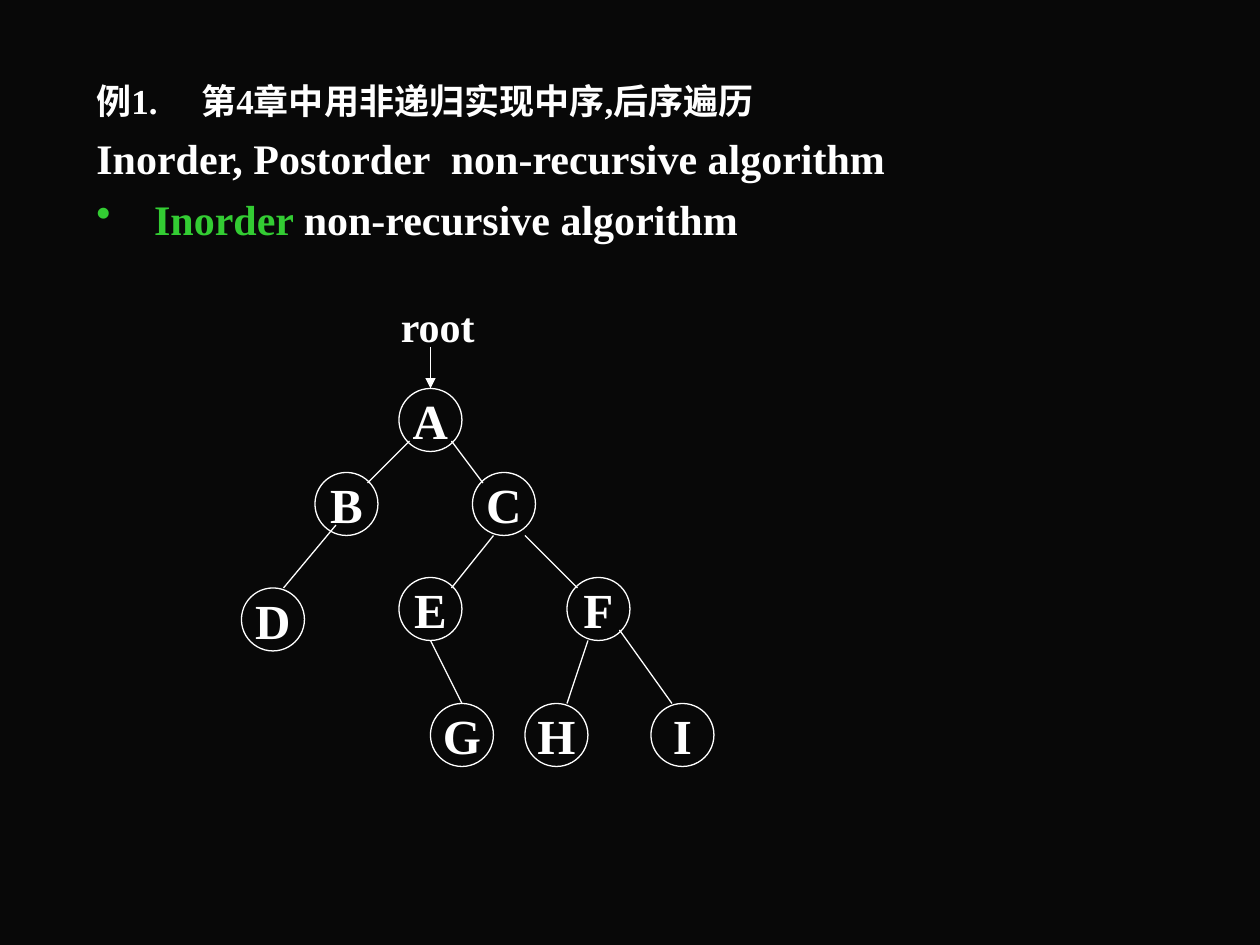
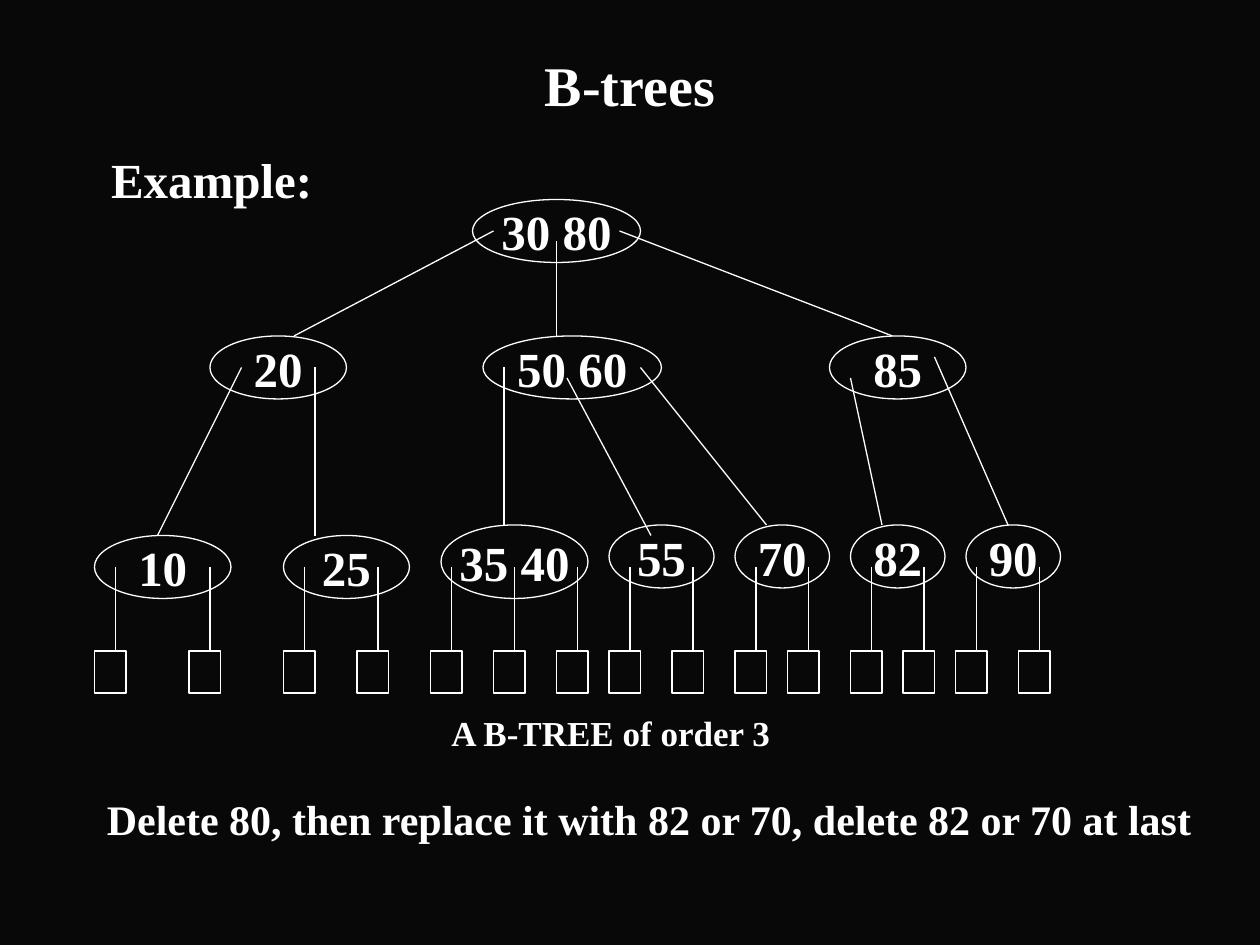
"""Builds two slides on binary tree traversal and B-trees."""
from pptx import Presentation
from pptx import util as u
from pptx.dml.color import RGBColor
from pptx.enum import shapes, text
from pptx.oxml.ns import qn
from lxml import etree

EMU_PER_PX = 7620
BLACK = RGBColor(0x08, 0x08, 0x08)
WHITE = RGBColor(0xFF, 0xFF, 0xFF)
GREEN = RGBColor(0x33, 0xCC, 0x33)
NODE = 60


def px(n):
    return u.Emu(n * EMU_PER_PX)


class Deck:
    """Holds the shared style and the current slide."""

    face = "Times New Roman"
    ink = WHITE
    stroke = u.Pt(0.75)

    def __init__(self, width, height):
        self.prs = Presentation()
        self.prs.slide_width, self.prs.slide_height = px(width), px(height)

    def slide(self):
        self.s = self.prs.slides.add_slide(self.prs.slide_layouts[6])
        fill = self.s.background.fill
        fill.solid()
        fill.fore_color.rgb = BLACK

    def font(self, p, size):
        f = p.font
        f.name, f.size, f.bold = self.face, u.Pt(size), True
        f.color.rgb = self.ink

    def text(self, x, y, w, h, string, size, wrap=True, title=False):
        tf = self.s.shapes.add_textbox(px(x), px(y), px(w), px(h)).text_frame
        tf.word_wrap = wrap
        p = tf.paragraphs[0]
        p.text = string
        if title:
            tf.vertical_anchor = text.MSO_ANCHOR.MIDDLE
            p.alignment = text.PP_ALIGN.CENTER
        self.font(p, size)
        return tf

    def line_of(self, tf, size, before):
        p = tf.add_paragraph()
        p.space_before = u.Pt(before)
        self.font(p, size)
        return p

    def tab(self, p, x):
        tabs = etree.Element(qn("a:tabLst"))
        etree.SubElement(tabs, qn("a:tab"), pos=str(px(x)), algn="l")
        p.font._element.addprevious(tabs)

    def bullet(self, p, indent):
        pPr = p._p.get_or_add_pPr()
        pPr.set("marL", str(px(indent)))
        pPr.set("indent", str(px(-indent)))
        mark = etree.Element(qn("a:buChar"), char="•")
        p.font._element.addprevious(mark)

    def outline(self, kind, x, y, w, h):
        sp = self.s.shapes.add_shape(kind, px(x), px(y), px(w), px(h))
        sp.shadow.inherit = False
        sp.fill.background()
        sp.line.color.rgb = self.ink
        sp.line.width = self.stroke
        return sp

    def node(self, label, x, y, w=NODE, h=NODE):
        sp = self.outline(shapes.MSO_SHAPE.OVAL, x, y, w, h)
        tf = sp.text_frame
        tf.word_wrap = False
        tf.vertical_anchor = text.MSO_ANCHOR.MIDDLE
        p = tf.paragraphs[0]
        p.text = label
        p.alignment = text.PP_ALIGN.CENTER
        self.font(p, 28)

    def leaf(self, x, y):
        self.outline(shapes.MSO_SHAPE.RECTANGLE, x, y, 30, 40)
        self.edge(x + 20, y - 80, x + 20, y)

    def edge(self, x1, y1, x2, y2, arrow=False):
        cx = self.s.shapes.add_connector(
            shapes.MSO_CONNECTOR.STRAIGHT, px(x1), px(y1), px(x2), px(y2))
        cx.line.color.rgb = self.ink
        cx.line.width = self.stroke
        if arrow:
            etree.SubElement(cx.line._get_or_add_ln(), qn("a:tailEnd"), type="triangle")
        etree.SubElement(cx._element.spPr, qn("a:effectLst"))


def inorder_slide(deck):
    deck.slide()
    tf = deck.text(80, 70, 1020, 220, "例1.\t第4章中用非递归实现中序,后序遍历", 20)
    deck.tab(tf.paragraphs[0], 100)
    p = deck.line_of(tf, 24, 6)
    p.text = "Inorder, Postorder  non-recursive algorithm"
    p = deck.line_of(tf, 24, 6)
    deck.bullet(p, 55)
    for string, color in (("Inorder ", GREEN), ("non-recursive algorithm", WHITE)):
        r = p.add_run()
        r.text = string
        r.font.color.rgb = color

    nodes = {
        "A": (380, 370), "B": (300, 450), "C": (450, 450),
        "D": (230, 560), "E": (380, 550), "F": (540, 550),
        "G": (410, 670), "H": (500, 670), "I": (620, 670),
    }
    for label, (x, y) in nodes.items():
        deck.node(label, x, y)
    edges = [
        (390, 420, 350, 460), (430, 420, 460, 460), (320, 500, 270, 560),
        (470, 510, 430, 560), (500, 510, 550, 560), (410, 610, 440, 670),
        (560, 610, 540, 670), (590, 600, 640, 670),
    ]
    for ends in edges:
        deck.edge(*ends)
    deck.text(370, 280, 96, 60, "root", 24, wrap=False)
    deck.edge(410, 330, 410, 370, arrow=True)


def btree_slide(deck):
    deck.slide()
    deck.text(90, 30, 1020, 100, "B-trees", 32, title=True)
    deck.text(94, 136, 300, 64, "Example:", 28)
    deck.text(90, 750, 1082, 60,
              "Delete 80, then replace it with 82 or 70, delete 82 or 70 at last", 24)

    nodes = [
        ("30 80", 450, 190, 160),
        ("20", 200, 320, 130), ("50 60", 460, 320, 170), ("85", 790, 320, 130),
        ("10", 90, 510, 130), ("25", 270, 510, 120), ("35 40", 420, 500, 140, 70),
        ("55", 580, 500, 100), ("70", 700, 500, 90), ("82", 810, 500, 90),
        ("90", 920, 500, 90),
    ]
    for node in nodes:
        deck.node(*node)
    edges = [
        (470, 220, 280, 320), (530, 230, 530, 320), (590, 220, 850, 320),
        (230, 350, 150, 510), (300, 350, 300, 510),
        (480, 350, 480, 500), (540, 360, 620, 510), (610, 350, 730, 500),
        (810, 360, 840, 500), (890, 340, 960, 500),
    ]
    for ends in edges:
        deck.edge(*ends)
    for x in (90, 180, 270, 340, 410, 470, 530, 580, 640, 700, 750, 810, 860, 910, 970):
        deck.leaf(x, 620)
    deck.text(418, 672, 331, 53, "A B-TREE of order 3", 20, wrap=False)


def main():
    deck = Deck(1200, 900)
    inorder_slide(deck)
    btree_slide(deck)
    deck.prs.save("out.pptx")


if __name__ == "__main__":
    main()
